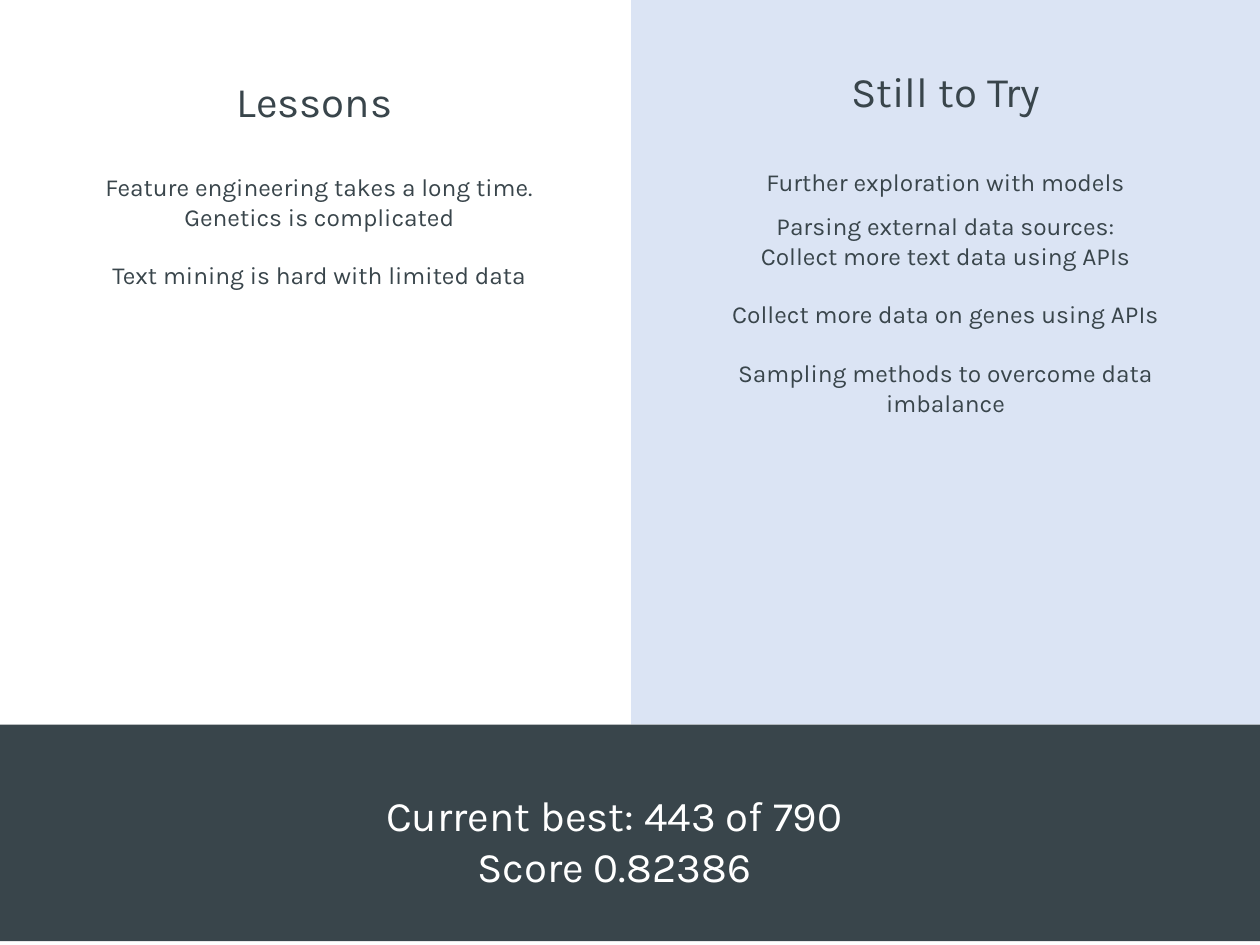
from pptx import Presentation
from pptx.dml.color import RGBColor
from pptx.enum.shapes import MSO_SHAPE
from pptx.enum.text import MSO_ANCHOR, MSO_AUTO_SIZE, PP_ALIGN
from pptx.util import Inches, Pt

DARK, PALE, WHITE = "39454B", "DBE4F4", "FFFFFF"


def rgb(value):
    return RGBColor.from_string(value)


class Deck:
    font = "Karla"
    inset = Inches(0.1)
    gap = Pt(16.8)

    def __init__(self, prs):
        self.s = prs.slides.add_slide(prs.slide_layouts[5])

    def panel(self, x, y, w, h, fill):
        sp = self.s.shapes.add_shape(
            MSO_SHAPE.RECTANGLE, Inches(x), Inches(y), Inches(w), Inches(h))
        sp.shadow.inherit = False
        sp.fill.solid()
        sp.fill.fore_color.rgb = rgb(fill)
        sp.line.fill.background()

    def title(self, text, x, y, w, h):
        sp = self.s.shapes.title
        sp.left, sp.top, sp.width, sp.height = map(Inches, (x, y, w, h))
        tree = sp._element.getparent()
        tree.append(sp._element)
        self.fill_text(sp.text_frame, [text], 24, DARK, MSO_ANCHOR.BOTTOM)

    def text(self, lines, x, y, w, h, size, color=DARK,
             anchor=MSO_ANCHOR.TOP, loose=(), spaced=()):
        sp = self.s.shapes.add_textbox(
            Inches(x), Inches(y), Inches(w), Inches(h))
        tf = sp.text_frame
        self.fill_text(tf, lines, size, color, anchor)
        for i in loose:
            tf.paragraphs[i].line_spacing = 1.5
        for i in spaced:
            tf.paragraphs[i].space_before = self.gap

    def fill_text(self, tf, lines, size, color, anchor):
        tf.text = "\n".join(lines)
        tf.word_wrap = True
        tf.auto_size = MSO_AUTO_SIZE.NONE
        tf.vertical_anchor = anchor
        tf.margin_left = tf.margin_right = self.inset
        tf.margin_top = tf.margin_bottom = self.inset
        for p in tf.paragraphs:
            p.alignment = PP_ALIGN.CENTER
            for r in p.runs:
                r.font.name = self.font
                r.font.size = Pt(size)
                r.font.color.rgb = rgb(color)


def main():
    prs = Presentation()
    prs.slide_width, prs.slide_height = Inches(10), Inches(7.5)
    deck = Deck(prs)

    deck.panel(5.01, -0.03, 4.99, 5.78, PALE)
    deck.panel(0, -0.03, 4.99, 5.78, WHITE)
    deck.panel(0, 5.75, 10, 1.72, DARK)

    deck.title("Lessons", 0.2, 0.16, 4.59, 0.94)
    deck.text(["Still to Try"], 5.49, 0.08, 4.03, 0.94, 24,
              anchor=MSO_ANCHOR.BOTTOM)
    deck.text(["Current best: 443 of 790", "Score 0.82386"],
              1.27, 5.81, 7.21, 1.36, 24, WHITE, MSO_ANCHOR.BOTTOM)

    lessons = [
        "Feature engineering takes a long time.",
        "Genetics is complicated",
        "Text mining is hard with limited data",
    ]
    ideas = [
        "Further exploration with models",
        "Parsing external data sources:",
        "Collect more text data using APIs",
        "Collect more data on genes using APIs",
        "Sampling methods to overcome data imbalance",
    ]
    deck.text(lessons, 0.48, 1.15, 4.11, 3.48, 14, loose=[0], spaced=[2])
    deck.text(ideas, 5.45, 1.11, 4.11, 3.48, 14, loose=[0, 1], spaced=[3, 4])

    prs.save("out.pptx")


if __name__ == "__main__":
    main()
